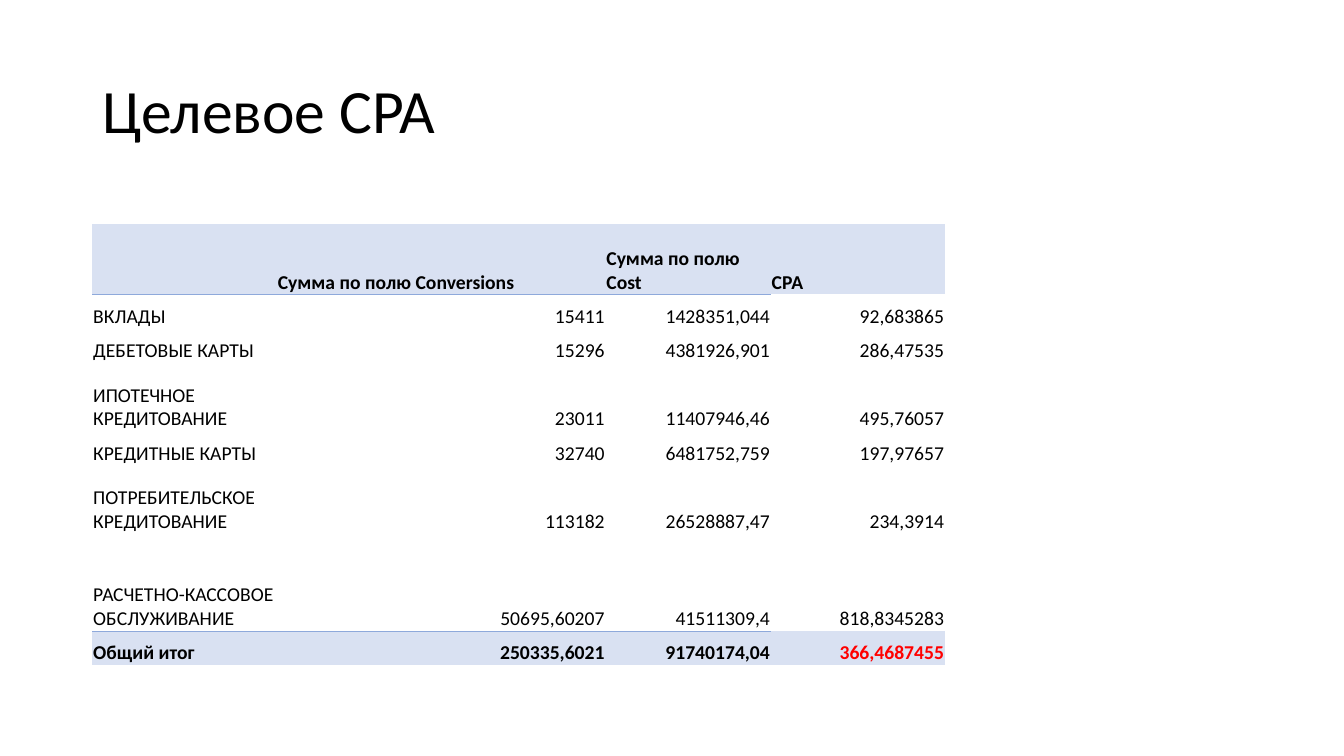
from dataclasses import dataclass

from lxml.etree import SubElement
from pptx import Presentation
from pptx.dml.color import RGBColor
from pptx.enum.text import MSO_ANCHOR, PP_ALIGN
from pptx.oxml.ns import qn
from pptx.util import Pt

FONT = "Calibri"
BLACK, RED = "000000", "FF0000"
BAND, RULE = "D9E1F2", "8EA9DB"
COLUMN_WIDTHS = [131.9, 234.7, 118.1, 124.4]
RULED_COLUMNS = 3


@dataclass
class Row:
    height: float
    texts: list[str]
    highlighted: bool = False


ROWS = [
    Row(49.9, ["", "Сумма по полю Conversions", "Сумма по полю Cost", "CPA"], True),
    Row(24.4, ["ВКЛАДЫ", "15411", "1428351,044", "92,683865"]),
    Row(24.4, ["ДЕБЕТОВЫЕ КАРТЫ", "15296", "4381926,901", "286,47535"]),
    Row(49, ["ИПОТЕЧНОЕ КРЕДИТОВАНИЕ", "23011", "11407946,46", "495,76057"]),
    Row(24.4, ["КРЕДИТНЫЕ КАРТЫ", "32740", "6481752,759", "197,97657"]),
    Row(49, ["ПОТРЕБИТЕЛЬСКОЕ КРЕДИТОВАНИЕ", "113182", "26528887,47", "234,3914"]),
    Row(69.4, ["РАСЧЕТНО-КАССОВОЕ ОБСЛУЖИВАНИЕ", "50695,60207", "41511309,4", "818,8345283"]),
    Row(24.4, ["Общий итог", "250335,6021", "91740174,04", "366,4687455"], True),
]
LAST_ROW = len(ROWS) - 1


def color(value: str) -> RGBColor:
    return RGBColor.from_string(value)


def add_run(paragraph, text: str, size: float, text_color: str = BLACK, bold: bool = False) -> None:
    run = paragraph.add_run()
    run.text = text
    run.font.name = FONT
    run.font.size = Pt(size)
    run.font.bold = bold
    run.font.color.rgb = color(text_color)


def set_borders(cell, ruled_sides: set[str]) -> None:
    """Rule the given sides and clear the others; call before filling the cell."""
    properties = cell._tc.get_or_add_tcPr()
    for side in ("L", "R", "T", "B"):
        line = SubElement(properties, qn(f"a:ln{side}"), w=str(Pt(0.5)))
        if side in ruled_sides:
            fill = SubElement(line, qn("a:solidFill"))
            SubElement(fill, qn("a:srgbClr"), val=RULE)
        else:
            SubElement(line, qn("a:noFill"))


def add_title(slide, text: str) -> None:
    shape = slide.shapes.add_textbox(Pt(66), Pt(28.75), Pt(828), Pt(104.4))
    frame = shape.text_frame
    frame.word_wrap = True
    frame.vertical_anchor = MSO_ANCHOR.MIDDLE
    paragraph = frame.paragraphs[0]
    paragraph.line_spacing = 0.9
    add_run(paragraph, text, 44)


def fill_cell(cell, row_index: int, column_index: int) -> None:
    row = ROWS[row_index]
    # Rules under the header and above the total
    ruled_sides = set()
    if column_index < RULED_COLUMNS:
        if row_index in (0, LAST_ROW - 1):
            ruled_sides.add("B")
        if row_index in (1, LAST_ROW):
            ruled_sides.add("T")
    set_borders(cell, ruled_sides)

    # Background
    if row.highlighted:
        cell.fill.solid()
        cell.fill.fore_color.rgb = color(BAND)
    else:
        cell.fill.background()

    # Text
    cell.margin_left = cell.margin_right = cell.margin_top = Pt(0.6)
    cell.margin_bottom = Pt(0)
    cell.vertical_anchor = MSO_ANCHOR.BOTTOM
    paragraph = cell.text_frame.paragraphs[0]
    if row_index > 0 and column_index > 0:
        paragraph.alignment = PP_ALIGN.RIGHT
    text = row.texts[column_index]
    if text:
        is_total_cpa = row_index == LAST_ROW and column_index == RULED_COLUMNS
        add_run(paragraph, text, 14, RED if is_total_cpa else BLACK, row.highlighted)


def add_cpa_table(slide) -> None:
    height = sum(row.height for row in ROWS)
    shape = slide.shapes.add_table(
        len(ROWS), len(COLUMN_WIDTHS), Pt(66), Pt(160.3), Pt(sum(COLUMN_WIDTHS)), Pt(height)
    )
    table = shape.table
    table.first_row = False
    table.horz_banding = False
    for column, width in zip(table.columns, COLUMN_WIDTHS):
        column.width = Pt(width)
    for row_index, row in enumerate(ROWS):
        table.rows[row_index].height = Pt(row.height)
        for column_index in range(len(COLUMN_WIDTHS)):
            fill_cell(table.cell(row_index, column_index), row_index, column_index)


def main() -> None:
    presentation = Presentation()
    presentation.slide_width = Pt(960)
    presentation.slide_height = Pt(540)
    slide = presentation.slides.add_slide(presentation.slide_layouts[6])
    add_title(slide, "Целевое CPA")
    add_cpa_table(slide)
    presentation.save("out.pptx")


if __name__ == "__main__":
    main()
